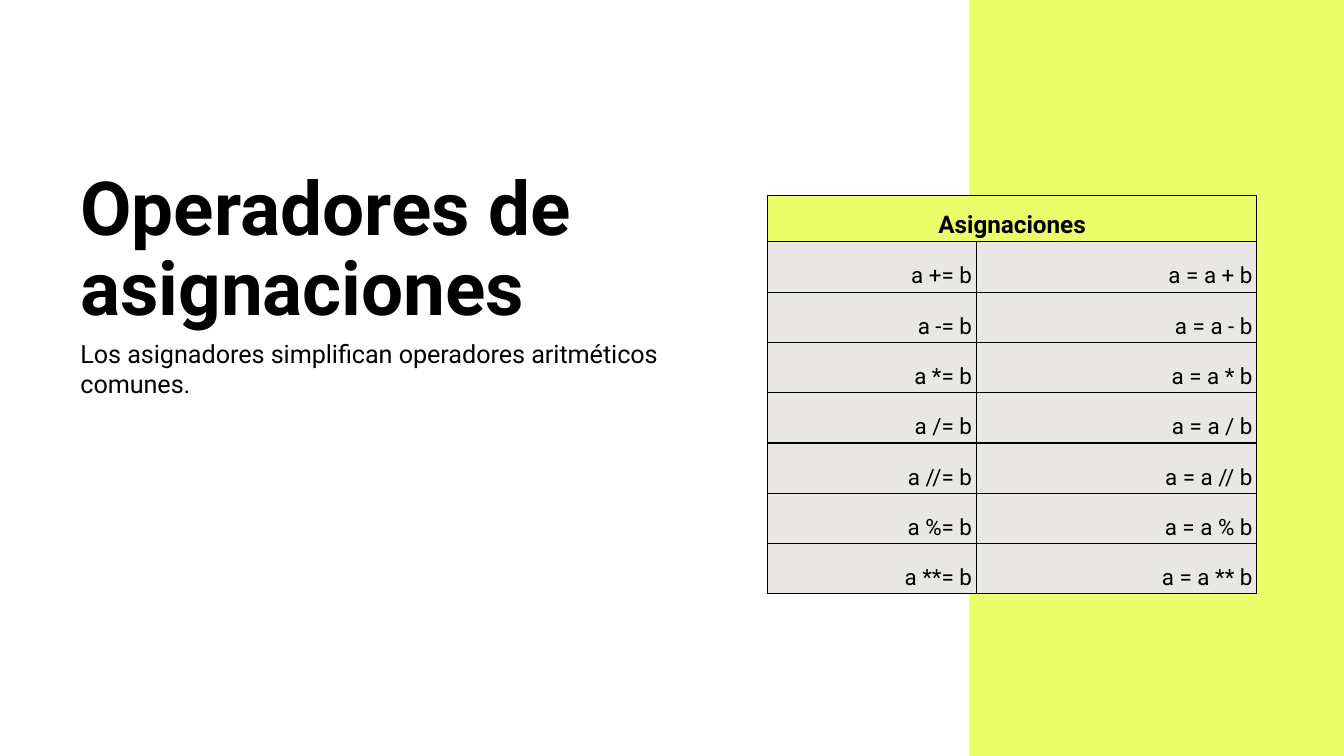
from lxml import etree
from pptx import Presentation
from pptx.dml.color import RGBColor
from pptx.enum import shapes, text
from pptx.oxml.ns import qn
from pptx.util import Pt

TITLE = "Operadores de asignaciones"
INTRO = "Los asignadores simplifican operadores aritméticos comunes."
HEAD = "Asignaciones"
ROWS = [
    (f"a {op}= b", f"a = a {op} b")
    for op in ("+", "-", "*", "/", "//", "%", "**")
]


class Theme:
    font = "Roboto"
    ink, lime, gray = "000000", "EAFF6A", "E8E7E3"
    title, intro, head, body = 40, 13.5, 13, 12
    rule = 0.75


WIDE, HIGH = 720, 405
BAND = 519
COLS = (112, 150.3)
HEAD_H, ROW_H = 24.8, 26.95


def style(par, words, size, bold=False, gap=1.0, align=text.PP_ALIGN.LEFT):
    par.text = words
    par.alignment = align
    par.line_spacing = gap
    font = par.font
    font.name, font.size, font.bold = Theme.font, Pt(size), bold
    font.color.rgb = RGBColor.from_string(Theme.ink)


def add_text(slide, top, high, words, size, **look):
    box = slide.shapes.add_textbox(Pt(36), Pt(top), Pt(372), Pt(high))
    frame = box.text_frame
    frame.word_wrap = True
    frame.margin_left = frame.margin_right = Pt(7.2)
    frame.margin_top = frame.margin_bottom = Pt(7.2)
    style(frame.paragraphs[0], words, size, **look)


def add_rules(cell):
    """Draw a thin line on all four sides; call before the cell is filled."""
    props = cell._tc.get_or_add_tcPr()
    for side in ("lnL", "lnR", "lnT", "lnB"):
        line = etree.SubElement(props, qn(f"a:{side}"), w=str(Pt(Theme.rule)))
        fill = etree.SubElement(line, qn("a:solidFill"))
        etree.SubElement(fill, qn("a:srgbClr"), val=Theme.ink)


def set_cell(cell, color):
    add_rules(cell)
    cell.fill.solid()
    cell.fill.fore_color.rgb = RGBColor.from_string(color)
    cell.vertical_anchor = text.MSO_ANCHOR.BOTTOM
    cell.margin_left = cell.margin_right = Pt(2.25)
    cell.margin_top = cell.margin_bottom = Pt(1.5)


def add_grid(slide):
    high = HEAD_H + ROW_H * len(ROWS)
    table = slide.shapes.add_table(
        len(ROWS) + 1, len(COLS), Pt(411), Pt(104.8), Pt(sum(COLS)), Pt(high)
    ).table
    table.first_row = table.horz_banding = False
    for col, wide in zip(table.columns, COLS):
        col.width = Pt(wide)
    for i, row in enumerate(table.rows):
        row.height = Pt(ROW_H if i else HEAD_H)
        for cell in row.cells:
            set_cell(cell, Theme.gray if i else Theme.lime)
    table.cell(0, 0).merge(table.cell(0, len(COLS) - 1))
    style(table.cell(0, 0).text_frame.paragraphs[0], HEAD, Theme.head,
          bold=True, gap=1.15, align=text.PP_ALIGN.CENTER)
    for i, row in enumerate(ROWS, 1):
        for j, words in enumerate(row):
            style(table.cell(i, j).text_frame.paragraphs[0], words, Theme.body,
                  gap=1.15, align=text.PP_ALIGN.RIGHT)


def main():
    deck = Presentation()
    deck.slide_width, deck.slide_height = Pt(WIDE), Pt(HIGH)
    slide = deck.slides.add_slide(deck.slide_layouts[6])
    band = slide.shapes.add_shape(
        shapes.MSO_SHAPE.RECTANGLE, Pt(BAND), 0, Pt(WIDE - BAND), Pt(HIGH)
    )
    band.shadow.inherit = False
    band.fill.solid()
    band.fill.fore_color.rgb = RGBColor.from_string(Theme.lime)
    band.line.fill.background()
    add_text(slide, 84.2, 232.6, TITLE, Theme.title, bold=True, gap=0.9)
    add_text(slide, 174.2, 63.4, INTRO, Theme.intro)
    add_grid(slide)
    deck.save("out.pptx")


if __name__ == "__main__":
    main()
